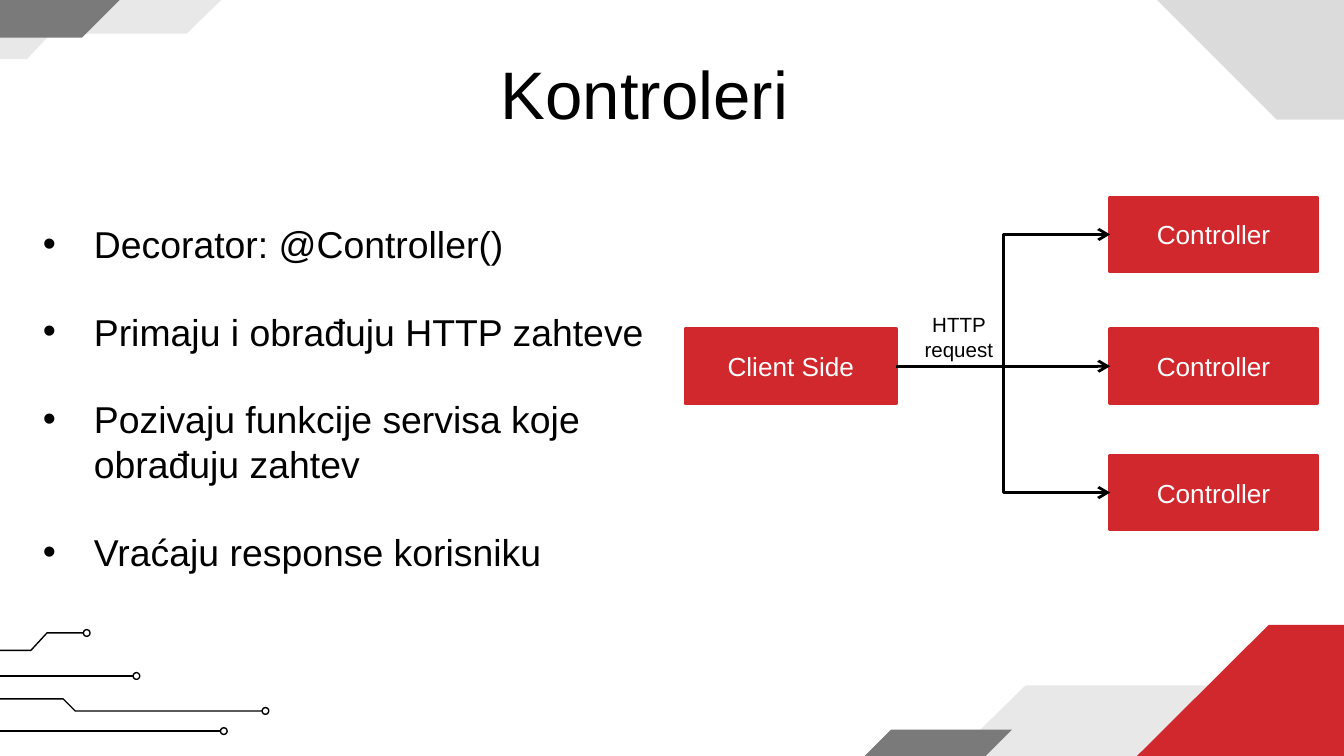
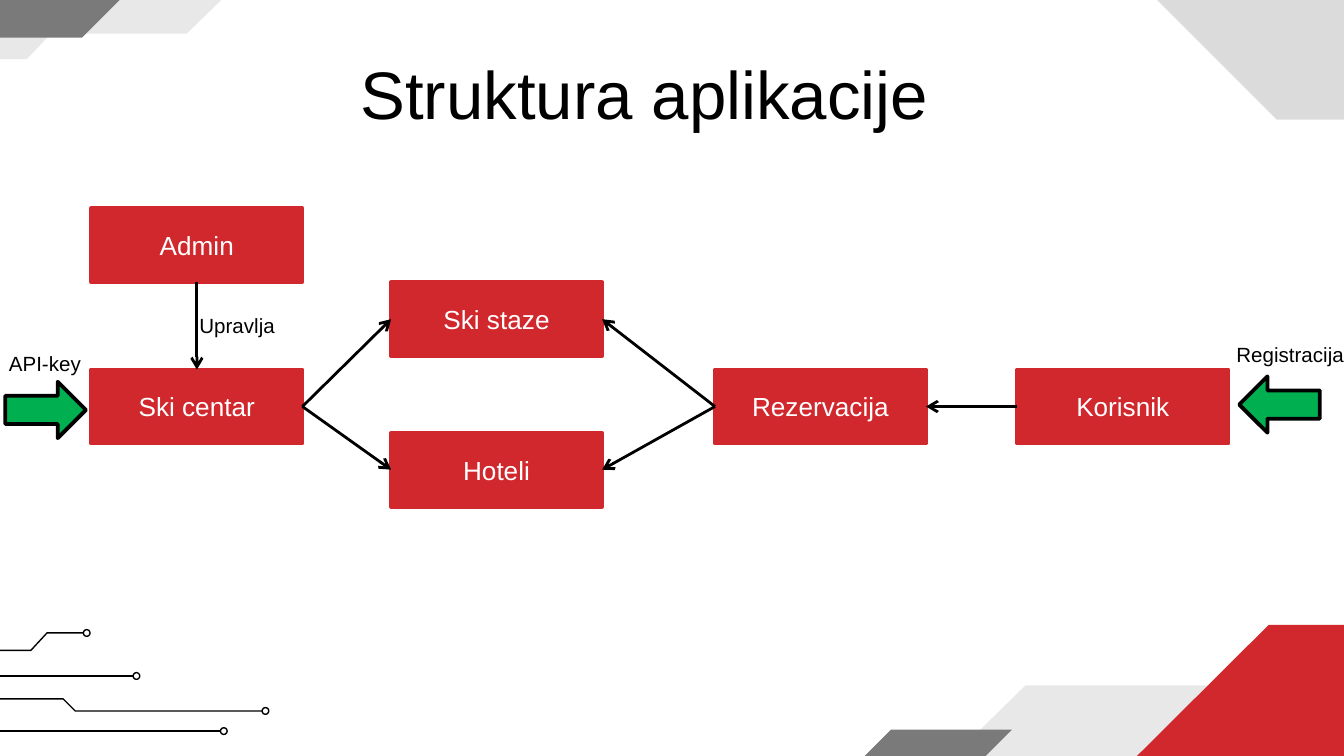
from dataclasses import dataclass
from typing import NamedTuple

from lxml import etree
from pptx import Presentation
from pptx.dml.color import RGBColor
from pptx.enum.shapes import MSO_CONNECTOR, MSO_SHAPE
from pptx.enum.text import MSO_ANCHOR, PP_ALIGN
from pptx.oxml.ns import qn
from pptx.shapes.autoshape import Shape
from pptx.shapes.connector import Connector
from pptx.slide import Slide
from pptx.util import Inches, Pt

RED = RGBColor(0xD1, 0x28, 0x2E)
GREY = RGBColor(0x7A, 0x7A, 0x7A)
GREEN = RGBColor(0x00, 0xB0, 0x50)
BLACK = RGBColor(0x00, 0x00, 0x00)
WHITE = RGBColor(0xFF, 0xFF, 0xFF)

RECTANGLE, OVAL, RIGHT_ARROW = MSO_SHAPE.RECTANGLE, MSO_SHAPE.OVAL, MSO_SHAPE.RIGHT_ARROW
STRAIGHT, ELBOW = MSO_CONNECTOR.STRAIGHT, MSO_CONNECTOR.ELBOW
LEFT, CENTER = PP_ALIGN.LEFT, PP_ALIGN.CENTER
MIDDLE, BOTTOM = MSO_ANCHOR.MIDDLE, MSO_ANCHOR.BOTTOM
TOP_SITE, LEFT_SITE, BOTTOM_SITE, RIGHT_SITE = range(4)

FONT = "Arial"
BOX_WIDTH, BOX_HEIGHT = 1.57, 0.55
CONTROLLER_WIDTH = 1.54
NODE_SIZE = 0.05
BULLET_INDENT = Inches(0.38)
FRAME_FORMAT = {
    "word_wrap": True,
    "margin_left": Inches(0.1),
    "margin_right": Inches(0.1),
    "margin_top": Inches(0.1),
    "margin_bottom": Inches(0.1),
}

Points = tuple[tuple[float, float], ...]


class Band(NamedTuple):
    points: Points
    color: RGBColor
    opacity: int = 100


@dataclass(frozen=True)
class Box:
    label: str
    left: float
    top: float
    width: float = BOX_WIDTH


@dataclass(frozen=True)
class Caption:
    text: str
    left: float
    top: float
    width: float
    height: float
    size: int = 11
    anchor: MSO_ANCHOR = MIDDLE


class Entry(NamedTuple):
    left: float
    top: float
    rotation: int


class Link(NamedTuple):
    source: str
    source_site: int
    target: str
    target_site: int


BANDS = (
    Band(((11.92, 4.8), (11.92, 8.1), (6.33, 8.1), (6.33, 5.68), (7.04, 5.68),
          (7.63, 5.1), (9.27, 5.1), (9.58, 4.8)), BLACK, 9),
    Band(((11.19, 0.89), (11.19, -0.97), (7.64, -0.97), (9.5, 0.89)), BLACK, 14),
    Band(((-1.23, 0.44), (-1.23, -1.57), (2.18, -1.57), (2.18, -0.1), (1.75, -0.1),
          (1.39, 0.25), (0.38, 0.25), (0.2, 0.44)), BLACK, 9),
)
FRONT_BANDS = (
    Band(((-0.65, 0.28), (-0.36, -0.01), (0.9, -0.01), (0.61, 0.28)), GREY),
    Band(((6.43, 5.63), (6.63, 5.43), (7.53, 5.43), (7.33, 5.63)), GREY),
    Band(((11.3, 4.65), (11.3, 6.69), (7.39, 6.69), (9.44, 4.65)), RED),
)
CIRCUIT_TRACES: tuple[Points, ...] = (
    ((-0.67, 5.03), (0.99, 5.03)),
    ((-1.04, 4.84), (0.23, 4.84), (0.35, 4.71), (0.62, 4.71)),
    ((-1.36, 5.2), (0.47, 5.2), (0.56, 5.29), (1.95, 5.29)),
    ((-1.61, 5.44), (1.64, 5.44)),
)

CONTROLLER_POINTS = (
    "Decorator: @Controller()",
    "Primaju i obrađuju HTTP zahteve",
    "Pozivaju funkcije servisa koje obrađuju zahtev",
    "Vraćaju response korisniku",
)
CLIENT = Box("Client Side", 5.1, 2.45)
CONTROLLERS = tuple(
    Box("Controller", 8.26, top, CONTROLLER_WIDTH) for top in (2.45, 1.47, 3.39)
)
REQUEST_CAPTION = Caption("HTTP request", 6.77, 2.46, 0.73, 0.33, anchor=BOTTOM)

APP_MODULES = (
    Box("Ski centar", 0.68, 2.75),
    Box("Admin", 0.68, 1.55),
    Box("Ski staze", 2.91, 2.1),
    Box("Hoteli", 2.91, 3.22),
    Box("Korisnik", 7.57, 2.75),
    Box("Rezervacija", 5.32, 2.75),
)
APP_LINKS = (
    Link("Admin", BOTTOM_SITE, "Ski centar", TOP_SITE),
    Link("Ski centar", RIGHT_SITE, "Ski staze", LEFT_SITE),
    Link("Ski centar", RIGHT_SITE, "Hoteli", LEFT_SITE),
    Link("Korisnik", LEFT_SITE, "Rezervacija", RIGHT_SITE),
    Link("Rezervacija", LEFT_SITE, "Ski staze", RIGHT_SITE),
    Link("Rezervacija", LEFT_SITE, "Hoteli", RIGHT_SITE),
)
APP_ENTRIES = (Entry(0.04, 2.84, 0), Entry(9.22, 2.8, 180))
APP_CAPTIONS = (
    Caption("Upravlja", 1.38, 2.24, 0.77, 0.36),
    Caption("API-key", -0.05, 2.52, 0.77, 0.36),
    Caption("Registracija", 9, 2.46, 1.2, 0.36),
)


def style_outline(shape: Shape | Connector, color: RGBColor, width: float) -> None:
    shape.line.color.rgb = color
    shape.line.width = Pt(width)


def style_fill(shape: Shape, color: RGBColor) -> None:
    shape.shadow.inherit = False
    shape.fill.solid()
    shape.fill.fore_color.rgb = color


def clear_connector_shadow(connector: Connector) -> None:
    etree.SubElement(connector.element.spPr, qn("a:effectLst"))


def write_paragraph(paragraph, text: str, size: int, color: RGBColor,
                    alignment: PP_ALIGN = CENTER) -> None:
    paragraph.alignment = alignment
    run = paragraph.add_run()
    run.text = text
    for attribute, value in {"name": FONT, "size": Pt(size)}.items():
        setattr(run.font, attribute, value)
    run.font.color.rgb = color


def trace_outline(slide: Slide, points: Points, close: bool) -> Shape:
    start, *rest = [(Inches(x), Inches(y)) for x, y in points]
    builder = slide.shapes.build_freeform(*start)
    builder.add_line_segments(rest, close=close)
    return builder.convert_to_shape()


def draw_band(slide: Slide, band: Band) -> None:
    shape = trace_outline(slide, band.points, close=True)
    style_fill(shape, band.color)
    shape.line.fill.background()
    if band.opacity < 100:
        color = shape.element.spPr.find(qn("a:solidFill")).find(qn("a:srgbClr"))
        etree.SubElement(color, qn("a:alpha"), val=str(band.opacity * 1000))


def draw_trace(slide: Slide, points: Points) -> None:
    end_x, end_y = points[-1]
    node = slide.shapes.add_shape(
        OVAL, Inches(end_x), Inches(end_y - NODE_SIZE / 2),
        Inches(NODE_SIZE), Inches(NODE_SIZE))
    outlines = [node]
    if len(points) == 2:
        wire = slide.shapes.add_connector(
            STRAIGHT, *(Inches(value) for point in points for value in point))
        style_outline(wire, BLACK, 0.75)
        clear_connector_shadow(wire)
    else:
        outlines.append(trace_outline(slide, points, close=False))
    for shape in outlines:
        shape.shadow.inherit = False
        shape.fill.background()
        style_outline(shape, BLACK, 0.75)


def add_frame(slide: Slide, caption: Caption):
    frame = slide.shapes.add_textbox(
        Inches(caption.left), Inches(caption.top),
        Inches(caption.width), Inches(caption.height)).text_frame
    for attribute, value in {**FRAME_FORMAT, "vertical_anchor": caption.anchor}.items():
        setattr(frame, attribute, value)
    return frame


def draw_caption(slide: Slide, caption: Caption) -> None:
    frame = add_frame(slide, caption)
    write_paragraph(frame.paragraphs[0], caption.text, caption.size, BLACK)


def draw_bullets(slide: Slide, area: Caption, items: tuple[str, ...]) -> None:
    frame = add_frame(slide, area)
    for index, item in enumerate(items):
        paragraph = frame.add_paragraph() if index else frame.paragraphs[0]
        write_paragraph(paragraph, item, area.size, BLACK, LEFT)
        paragraph.space_before = Pt(23 if index else 0)
        properties = paragraph._p.get_or_add_pPr()
        properties.set("marL", str(BULLET_INDENT))
        properties.set("indent", str(-BULLET_INDENT))
        bullet_color = etree.SubElement(properties, qn("a:buClr"))
        etree.SubElement(bullet_color, qn("a:srgbClr"), val=str(BLACK))
        etree.SubElement(properties, qn("a:buFont"), typeface=FONT)
        etree.SubElement(properties, qn("a:buChar"), char="•")


def draw_box(slide: Slide, box: Box) -> Shape:
    shape = slide.shapes.add_shape(
        RECTANGLE, Inches(box.left), Inches(box.top),
        Inches(box.width), Inches(BOX_HEIGHT))
    style_fill(shape, RED)
    style_outline(shape, RED, 2)
    shape.text_frame.vertical_anchor = MIDDLE
    write_paragraph(shape.text_frame.paragraphs[0], box.label, 14, WHITE)
    return shape


def draw_link(slide: Slide, source: Shape, source_site: int, target: Shape,
              target_site: int, kind: MSO_CONNECTOR = STRAIGHT) -> None:
    arrow = slide.shapes.add_connector(kind, 0, 0, 0, 0)
    arrow.begin_connect(source, source_site)
    arrow.end_connect(target, target_site)
    style_outline(arrow, BLACK, 1.5)
    etree.SubElement(arrow.line._get_or_add_ln(), qn("a:tailEnd"), type="arrow")
    clear_connector_shadow(arrow)


def draw_entry(slide: Slide, entry: Entry) -> None:
    arrow = slide.shapes.add_shape(
        RIGHT_ARROW, Inches(entry.left), Inches(entry.top), Inches(0.6), Inches(0.42))
    arrow.rotation = entry.rotation
    style_fill(arrow, GREEN)
    style_outline(arrow, BLACK, 2)


def add_titled_slide(deck, title: str) -> Slide:
    slide = deck.slides.add_slide(deck.slide_layouts[6])
    for band in BANDS:
        draw_band(slide, band)
    for points in CIRCUIT_TRACES:
        draw_trace(slide, points)
    for band in FRONT_BANDS:
        draw_band(slide, band)
    draw_caption(slide, Caption(title, 2.09, 0.17, 5.41, 1.04, size=36))
    return slide


def build_controllers(deck) -> None:
    slide = add_titled_slide(deck, "Kontroleri")
    bullet_area = Caption("", 0.22, 3.84, 4.82, 0.53, size=20, anchor=BOTTOM)
    draw_bullets(slide, bullet_area, CONTROLLER_POINTS)
    client = draw_box(slide, CLIENT)
    for box in CONTROLLERS:
        controller = draw_box(slide, box)
        kind = STRAIGHT if box.top == CLIENT.top else ELBOW
        draw_link(slide, client, RIGHT_SITE, controller, LEFT_SITE, kind)
    draw_caption(slide, REQUEST_CAPTION)


def build_app_structure(deck) -> None:
    slide = add_titled_slide(deck, "Struktura aplikacije")
    modules = {box.label: draw_box(slide, box) for box in APP_MODULES}
    for link in APP_LINKS:
        draw_link(slide, modules[link.source], link.source_site,
                  modules[link.target], link.target_site)
    for entry in APP_ENTRIES:
        draw_entry(slide, entry)
    for caption in APP_CAPTIONS:
        draw_caption(slide, caption)


def main() -> None:
    deck = Presentation()
    deck.slide_width = Inches(10)
    deck.slide_height = Inches(10) * 9 // 16
    build_controllers(deck)
    build_app_structure(deck)
    deck.save("out.pptx")


if __name__ == "__main__":
    main()
